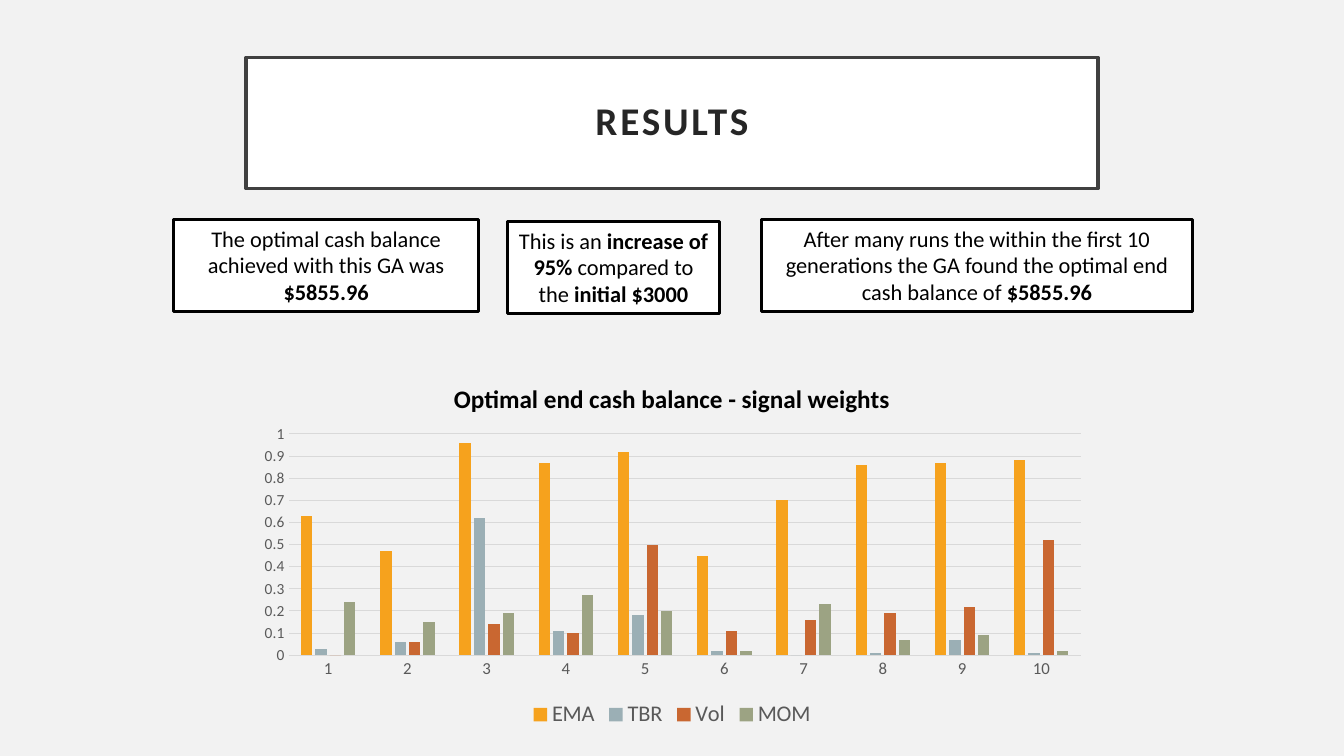
from lxml.etree import SubElement
from pptx import Presentation
from pptx.chart.data import CategoryChartData
from pptx.dml.color import RGBColor
from pptx.enum.chart import XL_CHART_TYPE, XL_LEGEND_POSITION, XL_TICK_MARK
from pptx.enum.shapes import MSO_SHAPE
from pptx.enum.text import MSO_ANCHOR, MSO_AUTO_SIZE, PP_ALIGN
from pptx.oxml.ns import qn
from pptx.util import Inches, Pt

FONT = "Calibri"
PAPER = RGBColor(0xF2, 0xF2, 0xF2)
WHITE = RGBColor(0xFF, 0xFF, 0xFF)
BLACK = RGBColor(0, 0, 0)
FRAME = RGBColor(0x40, 0x40, 0x40)
INK = RGBColor(0x26, 0x26, 0x26)
GREY = RGBColor(0x59, 0x59, 0x59)
GRID = RGBColor(0xD9, 0xD9, 0xD9)

CASH = ("$5855.96", True)
NOTES = [
    (1.72, 2.18, 3.03, [("The optimal cash balance achieved with this GA was ", False), CASH]),
    (5.03, 2.2, 2.11, [("This is an ", False), ("increase of 95% ", True),
                       ("compared to the ", False), ("initial $3000", True)]),
    (7.55, 2.18, 4.28, [("After many runs the within the first 10 generations "
                         "the GA found the optimal end cash balance of ", False), CASH]),
]
SIGNALS = [
    ("EMA", RGBColor(0xF6, 0xA2, 0x1D),
     [0.63, 0.47, 0.96, 0.87, 0.92, 0.45, 0.7, 0.86, 0.87, 0.88]),
    ("TBR", RGBColor(0x9B, 0xAF, 0xB5),
     [0.03, 0.06, 0.62, 0.11, 0.18, 0.02, 0, 0.01, 0.07, 0.01]),
    ("Vol", RGBColor(0xC9, 0x67, 0x31),
     [0, 0.06, 0.14, 0.1, 0.5, 0.11, 0.16, 0.19, 0.22, 0.52]),
    ("MOM", RGBColor(0x9C, 0xA3, 0x83),
     [0.24, 0.15, 0.19, 0.27, 0.2, 0.02, 0.23, 0.07, 0.09, 0.02]),
]


def style(font, size, color, bold=False):
    font.name = FONT
    font.size = Pt(size)
    font.bold = bold
    font.color.rgb = color


def write(para, text, size=16, color=BLACK, bold=False, gap=0):
    run = para.add_run()
    run.text = text
    style(run.font, size, color, bold)
    if gap:
        run.font._element.set("spc", str(gap * 100))


def add_box(slide, left, top, width, height, line, weight):
    box = slide.shapes.add_shape(MSO_SHAPE.RECTANGLE, Inches(left), Inches(top),
                                 Inches(width), Inches(height))
    box.shadow.inherit = False
    box.fill.solid()
    box.fill.fore_color.rgb = WHITE
    box.line.color.rgb = line
    box.line.width = Pt(weight)
    frame = box.text_frame
    frame.word_wrap = True
    frame.vertical_anchor = MSO_ANCHOR.MIDDLE
    frame.paragraphs[0].alignment = PP_ALIGN.CENTER
    return frame


def add_title(slide):
    frame = add_box(slide, 2.44, 0.57, 8.45, 1.3, FRAME, 2.5)
    frame.margin_left = frame.margin_right = Inches(0.2)
    frame.margin_top = frame.margin_bottom = Inches(0.2)
    para = frame.paragraphs[0]
    para.line_spacing = 0.9
    write(para, "RESULTS", size=28, color=INK, bold=True, gap=2)


def add_note(slide, left, top, width, parts):
    frame = add_box(slide, left, top, width, 0.91, BLACK, 2.25)
    frame.vertical_anchor = MSO_ANCHOR.TOP
    frame.auto_size = MSO_AUTO_SIZE.SHAPE_TO_FIT_TEXT
    for text, bold in parts:
        write(frame.paragraphs[0], text, bold=bold)


def set_axis(axis, size):
    axis.major_tick_mark = axis.minor_tick_mark = XL_TICK_MARK.NONE
    style(axis.tick_labels.font, size, GREY)


def set_line(line):
    line.color.rgb = GRID
    line.width = Pt(0.75)


def place_plot(chart, **area):
    plot = chart._chartSpace.chart.plotArea
    for old in plot.findall(qn("c:layout")):
        plot.remove(old)
    layout = SubElement(plot, qn("c:layout"))
    plot.insert(0, layout)
    manual = SubElement(layout, qn("c:manualLayout"))
    marks = {"layoutTarget": "inner", "xMode": "edge", "yMode": "edge", **area}
    for tag, val in marks.items():
        SubElement(manual, qn("c:" + tag)).set("val", str(val))


def add_weights(slide):
    data = CategoryChartData()
    data.categories = [str(run) for run in range(1, 11)]
    for name, _, vals in SIGNALS:
        data.add_series(name, vals)
    chart = slide.shapes.add_chart(XL_CHART_TYPE.COLUMN_CLUSTERED, Inches(2.44), Inches(3.61),
                                   Inches(8.45), Inches(3.66), data).chart
    style(chart.font, 10, BLACK)
    chart.has_title = True
    write(chart.chart_title.text_frame.paragraphs[0],
          "Optimal end cash balance - signal weights", size=18, bold=True)
    chart.chart_title.include_in_layout = False

    chart.has_legend = True
    chart.legend.position = XL_LEGEND_POSITION.BOTTOM
    chart.legend.include_in_layout = False
    style(chart.legend.font, 16, GREY)

    plot = chart.plots[0]
    plot.gap_width = 219
    plot.overlap = -27
    plot.vary_by_categories = False
    for series, (_, color, _) in zip(plot.series, SIGNALS):
        series.format.fill.solid()
        series.format.fill.fore_color.rgb = color
        series.invert_if_negative = False

    set_axis(chart.category_axis, 12)
    set_line(chart.category_axis.format.line)
    scale = chart.value_axis
    set_axis(scale, 11)
    scale.minimum_scale = 0
    scale.maximum_scale = 1
    scale.major_unit = 0.1
    scale.format.line.fill.background()
    set_line(scale.major_gridlines.format.line)
    place_plot(chart, x=0.05, y=0.19, w=0.93, h=0.6)


def main():
    deck = Presentation()
    deck.slide_width = Inches(13.33)
    deck.slide_height = Inches(7.5)
    slide = deck.slides.add_slide(deck.slide_layouts[6])
    slide.background.fill.solid()
    slide.background.fill.fore_color.rgb = PAPER
    add_title(slide)
    for note in NOTES:
        add_note(slide, *note)
    add_weights(slide)
    deck.save("out.pptx")


main()
